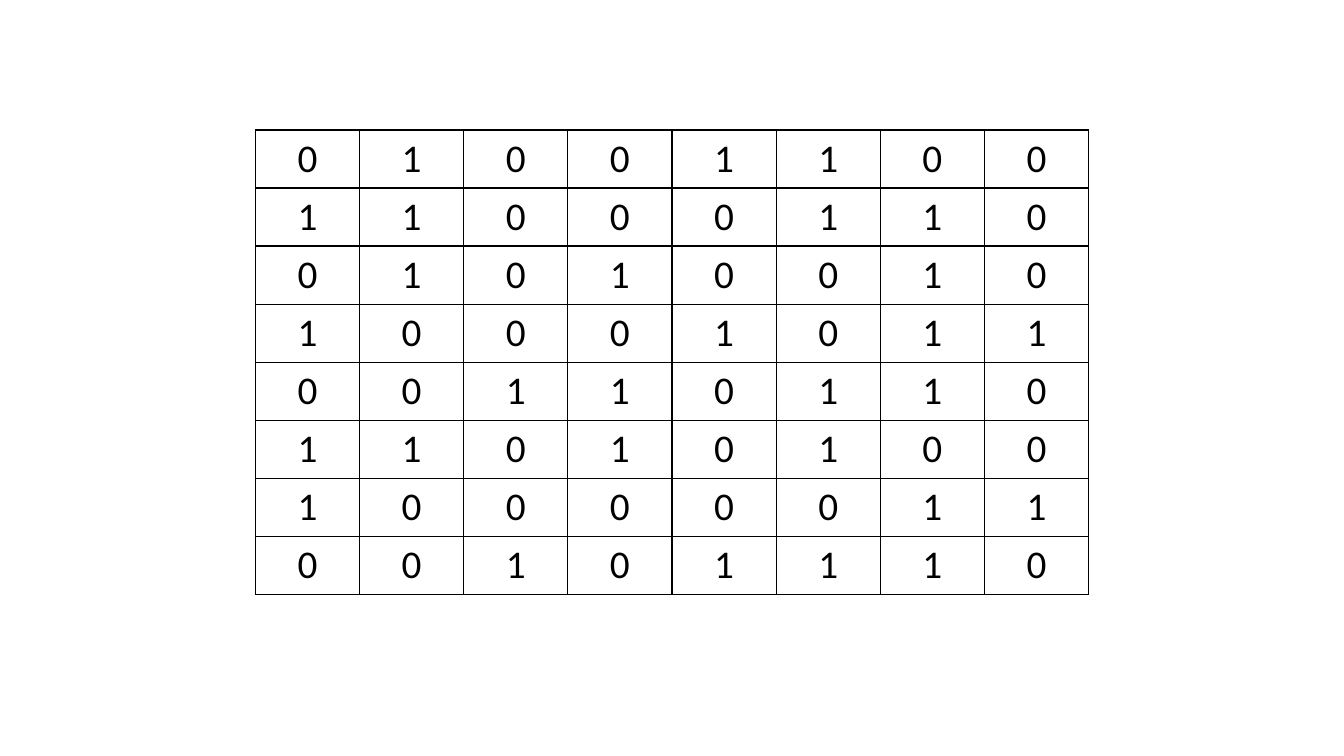
from lxml import etree
from pptx import Presentation
from pptx import util as u
from pptx.dml.color import RGBColor
from pptx.enum import text
from pptx.oxml.ns import qn

BLACK = RGBColor(0x00, 0x00, 0x00)
WHITE = RGBColor(0xFF, 0xFF, 0xFF)
FONT = "Calibri"
BITS = [
    "01001100",
    "11000110",
    "01010010",
    "10001011",
    "00110110",
    "11010100",
    "10000011",
    "00101110",
]
MATRIX_BOX = (19, 17.2, 62, 61.33)  # left, top, width, height in % of the slide


def share_box(prs, left, top, width, height):
    """Turn percentages of the slide into lengths."""
    w, h = prs.slide_width, prs.slide_height
    return [int(size * pct / 100)
            for size, pct in zip((w, h, w, h), (left, top, width, height))]


def write(tf, content, size=28, color=BLACK, font=FONT,
          align=text.PP_ALIGN.CENTER):
    """Put one formatted paragraph into a text frame."""
    p = tf.paragraphs[0]
    p.alignment = align
    r = p.add_run()
    r.text = content
    r.font.size = u.Pt(size)
    r.font.name = font
    r.font.color.rgb = color


def set_borders(cell, color=BLACK, width=1):
    """Draw a solid line on all four sides of a cell."""
    tc_pr = cell._tc.get_or_add_tcPr()
    for i, side in enumerate(("lnL", "lnR", "lnT", "lnB")):
        ln = etree.Element(qn("a:" + side), w=str(u.Pt(width)))
        fill = etree.SubElement(ln, qn("a:solidFill"))
        etree.SubElement(fill, qn("a:srgbClr"), val=str(color))
        tc_pr.insert(i, ln)


def add_bit_matrix(s, box, bits):
    """Fill the box with an evenly spaced table of bits."""
    n_rows, n_cols = len(bits), len(bits[0])
    table = s.shapes.add_table(n_rows, n_cols, *box).table
    table.first_row = table.horz_banding = False
    for col in table.columns:
        col.width = box[2] // n_cols
    for row, row_bits in zip(table.rows, bits):
        row.height = box[3] // n_rows
        for cell, bit in zip(row.cells, row_bits):
            cell.fill.solid()
            cell.fill.fore_color.rgb = WHITE
            set_borders(cell)
            write(cell.text_frame, bit)


prs = Presentation()
prs.slide_width, prs.slide_height = u.Inches(13.33), u.Inches(7.5)
s = prs.slides.add_slide(prs.slide_layouts[6])
add_bit_matrix(s, share_box(prs, *MATRIX_BOX), BITS)
prs.save("out.pptx")
